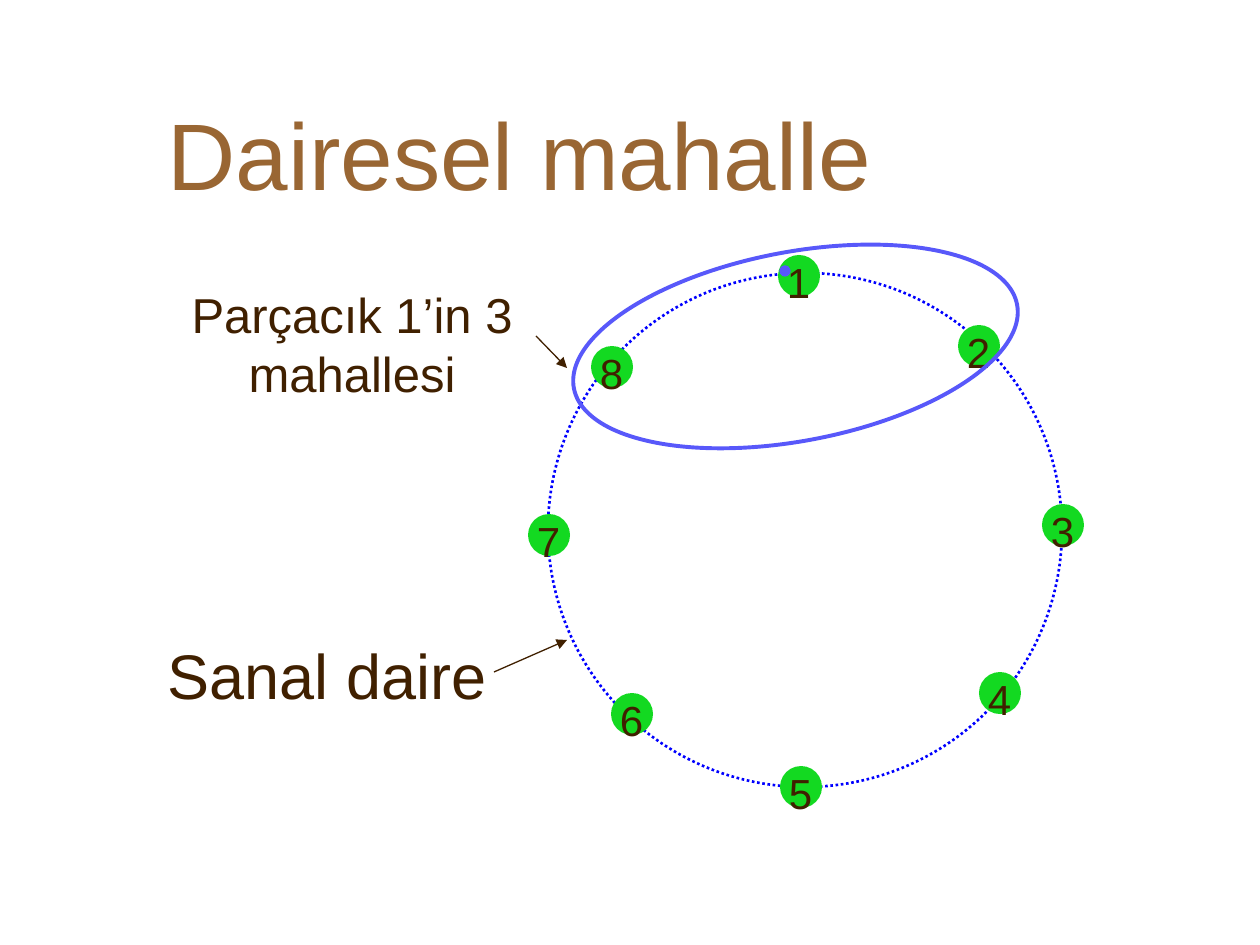
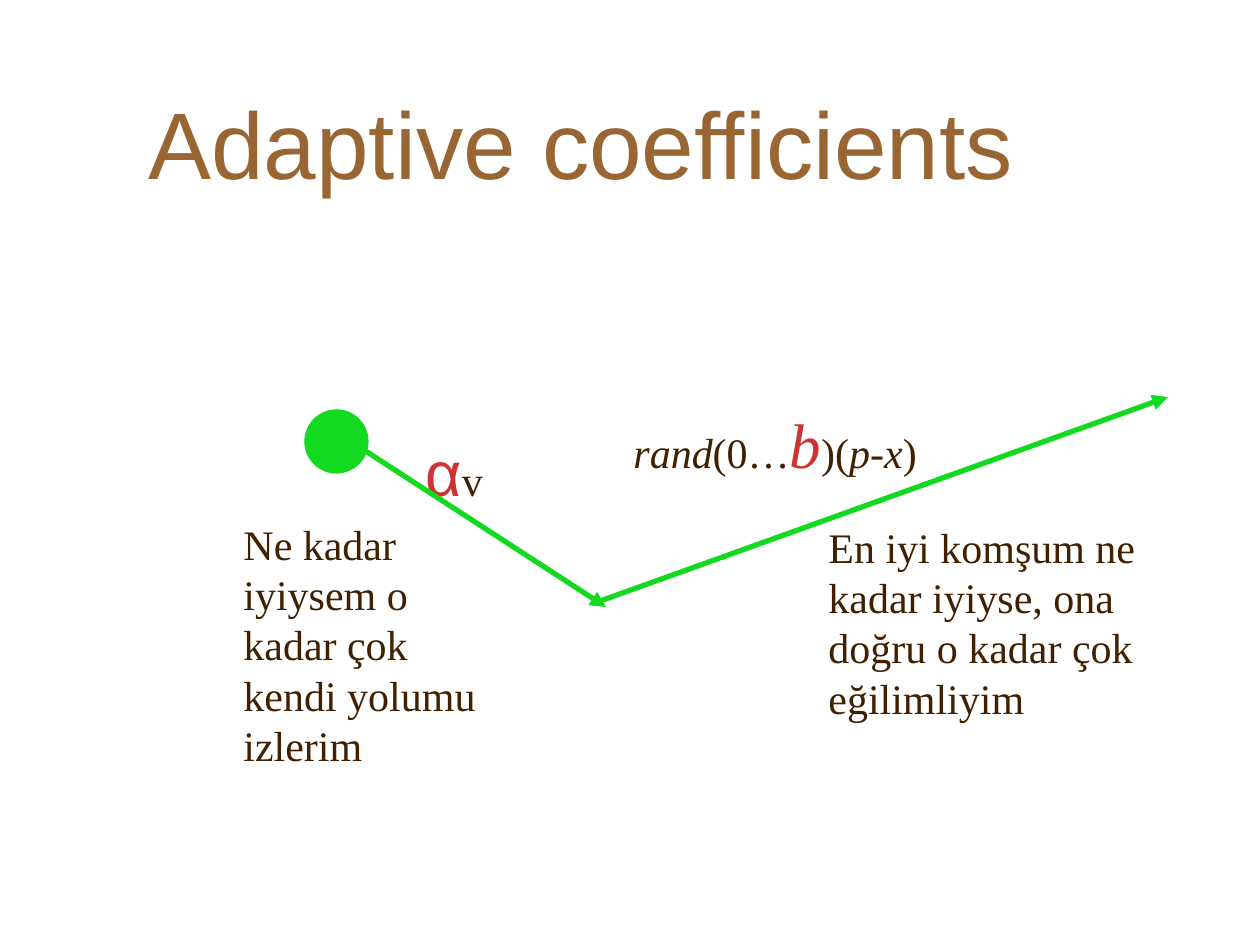
from pptx import Presentation
from pptx.dml.color import RGBColor as RGB
from pptx.enum.dml import MSO_LINE as Dash
from pptx.enum.shapes import MSO_CONNECTOR as Conn, MSO_SHAPE as Shape
from pptx.enum.text import MSO_ANCHOR as Anchor, PP_ALIGN as Align
from pptx.oxml.ns import qn
from pptx.util import Pt
from lxml import etree

PX = 914400 / 126
BROWN = RGB(0x99, 0x66, 0x33)
DARK = RGB(0x40, 0x20, 0x00)
GREEN = RGB(0x13, 0xD9, 0x21)
BLUE = RGB(0x00, 0x00, 0xFF)
VIOLET = RGB(0x58, 0x58, 0xFA)
RED = RGB(0xCD, 0x33, 0x33)
SANS = "Arial"
SERIF = "Times New Roman"


def text(slide, box, runs, size, face=SANS, color=DARK,
         align=Align.LEFT, anchor=Anchor.MIDDLE, wrap=True):
    """Runs are a string, or (words, changed font settings) pairs."""
    frame = slide.shapes.add_textbox(*(round(v * PX) for v in box)).text_frame
    frame.word_wrap = wrap
    frame.vertical_anchor = anchor
    para = frame.paragraphs[0]
    para.alignment = align
    para.font.size = Pt(size)
    para.font.name = face
    para.font.color.rgb = color
    if isinstance(runs, str):
        runs = [(runs, {})]
    for words, style in runs:
        run = para.add_run()
        run.text = words
        font = run.font
        if "size" in style:
            font.size = Pt(style["size"])
        if "face" in style:
            font.name = style["face"]
        if "color" in style:
            font.color.rgb = style["color"]
        if "italic" in style:
            font.italic = True


def oval(slide, box, fill=None, line=None, width=0.75):
    shape = slide.shapes.add_shape(Shape.OVAL, *(round(v * PX) for v in box))
    shape.shadow.inherit = False
    if fill is None:
        shape.fill.background()
    else:
        shape.fill.solid()
        shape.fill.fore_color.rgb = fill
    if line is None:
        shape.line.fill.background()
    else:
        shape.line.color.rgb = line
        shape.line.width = Pt(width)
    return shape


deck = Presentation()
deck.slide_width = round(1260 * PX)
deck.slide_height = round(945 * PX)
blank = deck.slide_layouts[6]
ring, coef = [deck.slides.add_slide(blank) for _ in range(2)]

# Titles
for slide, left, top, title in [(ring, 155, 74, "Dairesel mahalle"),
                                (coef, 136, 63, "Adaptive coefficients")]:
    text(slide, (left, top, 1071, 158), title, 54, color=BROWN)

# Virtual circle with its numbered particles
text(ring, (150, 630, 354, 88), "Sanal daire", 36,
     align=Align.CENTER, wrap=False)
path = oval(ring, (548, 273, 514, 514), line=BLUE, width=1.5)
path.line.dash_style = Dash.ROUND_DOT
nodes = [(778, 255), (958, 325), (1042, 504), (979, 672),
         (780, 766), (611, 693), (528, 514), (591, 346)]
for num, (x, y) in enumerate(nodes, 1):
    oval(ring, (x, y, 42, 42), GREEN)
    text(ring, (x - 4, y - 5, 49, 63), str(num), 24,
         align=Align.CENTER, wrap=False)

# Neighbourhood of particle 1
hood = oval(ring, (570, 252, 451, 189), line=VIOLET, width=2.25)
hood.rotation = 349.3
text(ring, (158, 278, 388, 131), "Parçacık 1’in 3 mahallesi", 28,
     align=Align.CENTER)

# Notes and formulas of the coefficients
for box, note in [
        ((231, 512, 282, 265),
         "Ne kadar iyiysem o kadar çok kendi yolumu izlerim"),
        ((816, 515, 386, 214),
         "En iyi komşum ne kadar iyiyse, ona doğru o kadar çok eğilimliyim")]:
    text(coef, box, note, 24, SERIF, anchor=Anchor.TOP)
slant = {"italic": True}
big = {"size": 36, "color": RED}
for box, runs in [
        ((413, 427, 145, 88), [("α", {**big, "face": SANS}), ("v", {})]),
        ((621, 399, 373, 88),
         [("rand", slant), ("(0…", {}), ("b", {**big, **slant}), (")(", {}),
          ("p", slant), ("-", {}), ("x", slant), (")", {})])]:
    text(coef, box, runs, 24, SERIF, anchor=Anchor.TOP)

# Arrows
for slide, ends, color, width in [
        (ring, (494, 672, 567, 640), DARK, 0.75),
        (ring, (536, 336, 567, 368), DARK, 0.75),
        (coef, (341, 435, 606, 607), GREEN, 3),
        (coef, (592, 604, 1168, 397), GREEN, 3)]:
    arrow = slide.shapes.add_connector(Conn.STRAIGHT,
                                       *(round(v * PX) for v in ends))
    arrow.line.color.rgb = color
    arrow.line.width = Pt(width)
    etree.SubElement(arrow.line._get_or_add_ln(), qn("a:tailEnd"),
                     type="triangle")
    etree.SubElement(arrow._element.spPr, qn("a:effectLst"))

# Dots on top of the arrows
oval(ring, (780, 266, 10, 10), VIOLET, VIOLET)
oval(coef, (305, 410, 63, 63), GREEN, GREEN)

deck.save("out.pptx")
